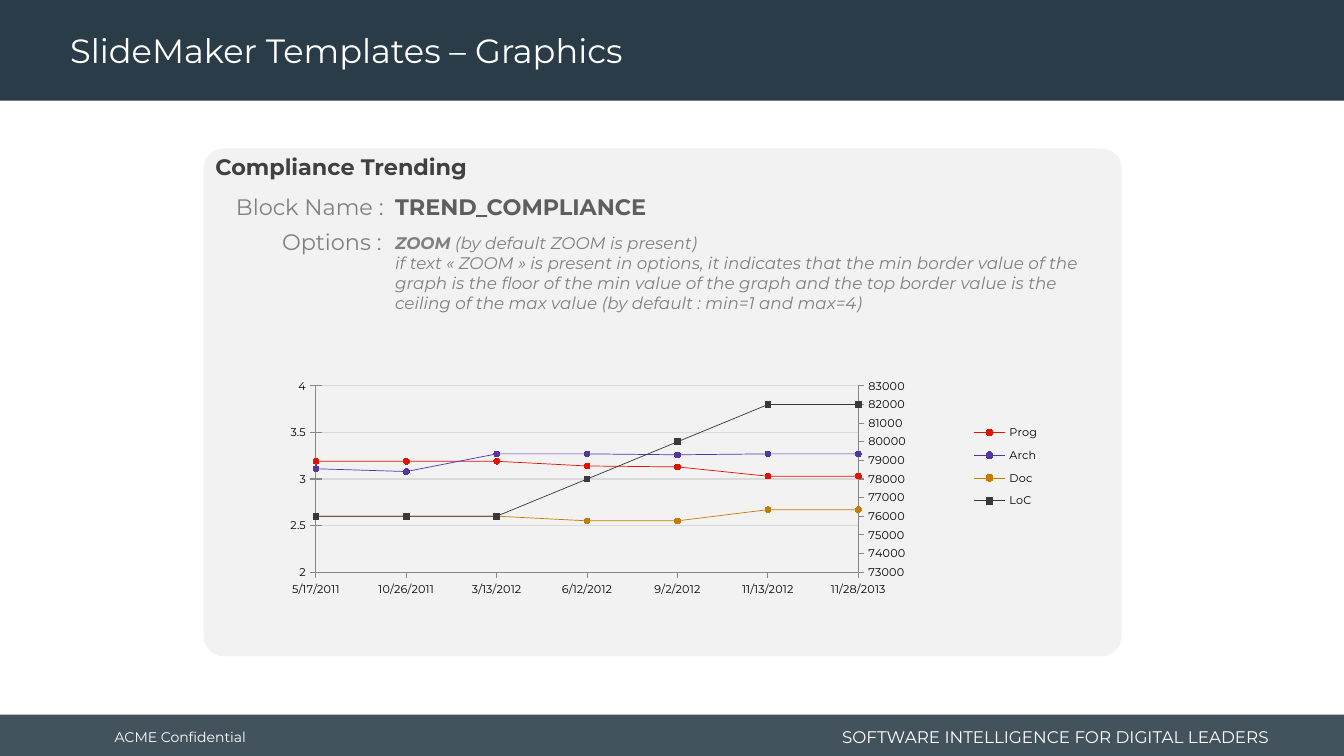
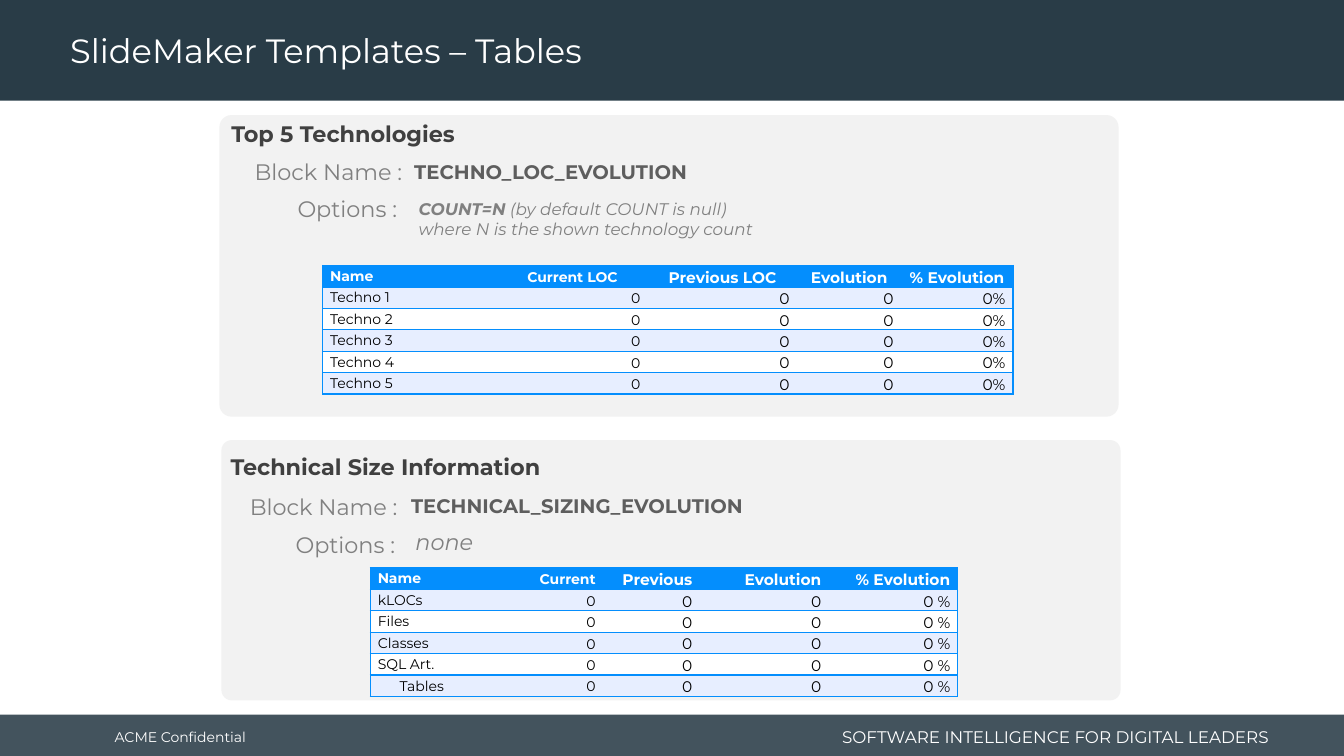
"""Build two slides documenting report template blocks: a trend chart and two tables."""
from copy import deepcopy
from dataclasses import dataclass
from typing import NamedTuple

from lxml.etree import SubElement
from pptx import Presentation
from pptx.chart.data import CategoryChartData
from pptx.dml.color import RGBColor
from pptx.enum.chart import XL_CHART_TYPE, XL_LEGEND_POSITION, XL_MARKER_STYLE, XL_TICK_MARK
from pptx.enum.shapes import MSO_SHAPE
from pptx.enum.text import MSO_ANCHOR, PP_ALIGN
from pptx.oxml.ns import qn
from pptx.slide import Slide
from pptx.util import Cm, Pt


@dataclass(frozen=True)
class Theme:
    font: str = "Montserrat"
    band: str = "293C47"
    white: str = "FFFFFF"
    black: str = "000000"
    panel: str = "F2F2F2"
    heading: str = "404040"
    block_name: str = "5E5E5E"
    muted: str = "808080"
    table_blue: str = "048EFD"
    table_stripe: str = "E7EEFF"
    axis: str = "888888"
    grid: str = "D9D9D9"
    title_size: float = 24
    heading_size: float = 16
    name_size: float = 14
    body_size: float = 12
    cell_size: float = 11
    small_size: float = 10
    chart_size: float = 8


THEME = Theme()
SLIDE_WIDTH, SLIDE_HEIGHT = 33.87, 19.05
NO_TABLE_STYLE = "{2D5ABB26-0587-4C30-8999-92F81FD0307C}"


class Box(NamedTuple):
    left: float
    top: float
    width: float
    height: float = 0.94

    def lengths(self) -> list[Cm]:
        return [Cm(value) for value in self]


class Run(NamedTuple):
    text: str
    bold: bool = False


class Point(NamedTuple):
    left: float
    top: float


@dataclass(frozen=True)
class Panel:
    frame: Box
    heading: str
    heading_at: Point
    block_name: str
    name_label_at: Point
    name_at: Point
    name_size: float
    options: list[list[Run]]
    options_label_at: Point
    options_at: Point
    options_size: float


@dataclass(frozen=True)
class SizeTable:
    left: float
    top: float
    column_widths: list[float]
    headers: list[str]
    header_align: PP_ALIGN
    names: list[str]
    values: list[str]
    indented: tuple[str, ...] = ()


class Trend(NamedTuple):
    name: str
    values: list[float]
    color: str
    marker_color: str
    marker: XL_MARKER_STYLE = XL_MARKER_STYLE.CIRCLE


TREND_PANEL = Panel(
    Box(5.13, 3.74, 23.14, 12.8), "Compliance Trending", Point(4.92, 3.73),
    "TREND_COMPLIANCE", Point(5.68, 4.75), Point(9.71, 4.75), THEME.heading_size,
    [[Run("ZOOM", True), Run(" (by default ZOOM is present)")],
     [Run("if text « ZOOM » is present in options, it indicates that the min border value of the "
          "graph is the floor of the min value of the graph and the top border value is the "
          "ceiling of the max value (by default : min=1 and max=4)")]],
    Point(6.8, 5.62), Point(9.71, 5.74), THEME.body_size)
TECHNOLOGY_PANEL = Panel(
    Box(5.53, 2.9, 22.66, 7.6), "Top 5 Technologies", Point(5.32, 2.9),
    "TECHNO_LOC_EVOLUTION", Point(6.15, 3.86), Point(10.19, 3.91), THEME.name_size,
    [[Run("COUNT=N", True), Run(" (by default COUNT is null)")],
     [Run("where N is the shown technology count")]],
    Point(7.19, 4.8), Point(10.3, 4.89), THEME.body_size)
SIZING_PANEL = Panel(
    Box(5.58, 11.09, 22.66, 6.56), "Technical Size Information", Point(5.3, 11.3),
    "TECHNICAL_SIZING_EVOLUTION", Point(6.03, 12.29), Point(10.11, 12.33), THEME.name_size,
    [[Run("none")]], Point(7.14, 13.26), Point(10.22, 13.18), THEME.heading_size)

TECHNOLOGY_TABLE = SizeTable(
    8.13, 6.69, [4.39, 3.81, 3.76, 2.62, 2.82],
    ["Name", "Current LOC", "Previous LOC", "Evolution", "% Evolution"], PP_ALIGN.CENTER,
    [f"Techno {number}" for number in range(1, 6)], ["0", "0", "0", "0%"])
SIZING_TABLE = SizeTable(
    9.33, 14.31, [3.43, 2.44, 2.44, 3.25, 3.25],
    ["Name", "Current", "Previous", "Evolution", "% Evolution"], PP_ALIGN.RIGHT,
    ["kLOCs", "Files", "Classes", "SQL Art.", "Tables"], ["0", "0", "0", "0 %"], ("Tables",))

DATES = ["5/17/2011", "10/26/2011", "3/13/2012", "6/12/2012", "9/2/2012", "11/13/2012", "11/28/2013"]
TRENDS = [
    Trend("Prog", [3.19, 3.19, 3.19, 3.14, 3.13, 3.03, 3.03], "DF1403", "950D02"),
    Trend("Arch", [3.11, 3.08, 3.27, 3.27, 3.26, 3.27, 3.27], "5435A4", "38246D"),
    Trend("Doc", [2.6, 2.6, 2.6, 2.55, 2.55, 2.67, 2.67], "C87B02", "855201"),
    Trend("LoC", [76000, 76000, 76000, 78000, 80000, 82000, 82000], "3B3838", "181717",
          XL_MARKER_STYLE.SQUARE),
]


def rgb(color: str) -> RGBColor:
    return RGBColor.from_string(color)


def write_paragraph(paragraph, runs: list[Run], *, size: float, color: str, italic: bool = False,
                    align: PP_ALIGN = PP_ALIGN.LEFT, spacing: float = 1.0) -> None:
    paragraph.alignment = align
    paragraph.line_spacing = spacing
    for text, bold in runs:
        run = paragraph.add_run()
        run.text = text
        run.font.name = THEME.font
        run.font.size = Pt(size)
        run.font.bold = bold
        run.font.italic = italic
        run.font.color.rgb = rgb(color)


def add_text(slide: Slide, box: Box, paragraphs: list[list[Run]], *, anchor: MSO_ANCHOR = MSO_ANCHOR.TOP,
             wrap: bool = True, inset: float = 0.25, **text_format) -> None:
    frame = slide.shapes.add_textbox(*box.lengths()).text_frame
    frame.word_wrap = wrap
    frame.vertical_anchor = anchor
    frame.margin_left = frame.margin_right = Cm(inset)
    for index, runs in enumerate(paragraphs):
        paragraph = frame.add_paragraph() if index else frame.paragraphs[0]
        write_paragraph(paragraph, runs, **text_format)


def add_block(slide: Slide, box: Box, color: str, preset: MSO_SHAPE = MSO_SHAPE.RECTANGLE):
    shape = slide.shapes.add_shape(preset, *box.lengths())
    shape.shadow.inherit = False
    shape.fill.solid()
    shape.fill.fore_color.rgb = rgb(color)
    shape.line.fill.background()
    return shape


def add_slide(presentation, title: str) -> Slide:
    slide = presentation.slides.add_slide(presentation.slide_layouts[6])
    footer = add_block(slide, Box(0, 18.01, SLIDE_WIDTH, 1.04), THEME.band)
    footer_color = footer.element.spPr.find(qn("a:solidFill"))[0]
    SubElement(footer_color, qn("a:alpha"), val="88000")
    add_block(slide, Box(0, 0, SLIDE_WIDTH, 2.54), THEME.band)
    add_text(slide, Box(2.64, 18.06, 5, 1.02), [[Run("ACME Confidential")]],
             anchor=MSO_ANCHOR.MIDDLE, size=THEME.small_size, color=THEME.white)
    add_text(slide, Box(20.6, 18.16, 11.63, 0.81), [[Run("SOFTWARE INTELLIGENCE FOR DIGITAL LEADERS")]],
             anchor=MSO_ANCHOR.MIDDLE, size=THEME.body_size, color=THEME.white, align=PP_ALIGN.RIGHT)
    add_text(slide, Box(1.52, 0.1, 24.33, 2.44), [[Run(title)]], anchor=MSO_ANCHOR.MIDDLE,
             size=THEME.title_size, color=THEME.white, spacing=0.9)
    return slide


def add_panel(slide: Slide, panel: Panel) -> None:
    frame = add_block(slide, panel.frame, THEME.panel, MSO_SHAPE.ROUNDED_RECTANGLE)
    frame.adjustments[0] = 0.04
    add_text(slide, Box(*panel.heading_at, 22.63), [[Run(panel.heading, True)]], inset=0.51,
             size=THEME.heading_size, color=THEME.heading)
    add_text(slide, Box(*panel.name_at, 18.42), [[Run(panel.block_name, True)]],
             size=panel.name_size, color=THEME.block_name)
    labels = [("Block Name :", panel.name_label_at, 4.24), ("Options :", panel.options_label_at, 3.07)]
    for label, position, width in labels:
        add_text(slide, Box(*position, width), [[Run(label)]], wrap=False,
                 size=THEME.heading_size, color=THEME.muted, align=PP_ALIGN.RIGHT)
    add_text(slide, Box(*panel.options_at, 18.42), panel.options,
             size=panel.options_size, color=THEME.muted, italic=True)


def set_borders(cell, sides: list[str]) -> None:
    properties = cell._tc.get_or_add_tcPr()
    for index, side in enumerate(sides):
        line = SubElement(properties, qn(f"a:ln{side}"), w=str(Pt(1)))
        fill = SubElement(line, qn("a:solidFill"))
        SubElement(fill, qn("a:srgbClr"), val=THEME.table_blue)
        properties.insert(index, line)


def add_size_table(slide: Slide, content: SizeTable) -> None:
    rows = [content.headers] + [[name, *content.values] for name in content.names]
    row_height = 0.54
    box = Box(content.left, content.top, sum(content.column_widths), row_height * len(rows))
    table = slide.shapes.add_table(len(rows), len(content.headers), *box.lengths()).table
    table.first_row = table.horz_banding = False
    table._tbl.tblPr.find(qn("a:tableStyleId")).text = NO_TABLE_STYLE
    for column, width in zip(table.columns, content.column_widths):
        column.width = Cm(width)
    last_column = len(content.headers) - 1
    for row_index, texts in enumerate(rows):
        table.rows[row_index].height = Cm(row_height)
        is_header = row_index == 0
        stripe = THEME.table_stripe if row_index % 2 else THEME.white
        for column_index, text in enumerate(texts):
            cell = table.cell(row_index, column_index)
            cell.margin_top = cell.margin_bottom = 0
            cell.margin_left = Cm(0.74 if text in content.indented else 0.19)
            cell.margin_right = Cm(0.19)
            is_name = column_index == 0
            cell.vertical_anchor = MSO_ANCHOR.TOP if is_name else MSO_ANCHOR.MIDDLE
            cell.fill.solid()
            cell.fill.fore_color.rgb = rgb(THEME.table_blue if is_header else stripe)
            outer = ["L"] if is_name else ["R"] if column_index == last_column else []
            set_borders(cell, outer + ["T", "B"])
            value_align = content.header_align if is_header else PP_ALIGN.RIGHT
            write_paragraph(cell.text_frame.paragraphs[0], [Run(text, is_header)],
                            size=THEME.small_size if column_index < 2 else THEME.cell_size,
                            color=THEME.white if is_header else THEME.black,
                            align=PP_ALIGN.LEFT if is_name else value_align, spacing=1.15)


def set_layout(parent, index: int, box: Box, inner: bool = False) -> None:
    for existing in parent.findall(qn("c:layout")):
        parent.remove(existing)
    layout = SubElement(parent, qn("c:layout"))
    parent.insert(index, layout)
    manual = SubElement(layout, qn("c:manualLayout"))
    if inner:
        SubElement(manual, qn("c:layoutTarget"), val="inner")
    for mode in ("xMode", "yMode"):
        SubElement(manual, qn(f"c:{mode}"), val="edge")
    for name, value in zip("xywh", box):
        SubElement(manual, qn(f"c:{name}"), val=str(value))


def move_last_series_to_right_axis(plot_area, minimum: int, maximum: int, step: int) -> None:
    left_plot = plot_area.find(qn("c:lineChart"))
    right_plot = deepcopy(left_plot)
    left_plot.remove(left_plot.findall(qn("c:ser"))[-1])
    for series in right_plot.findall(qn("c:ser"))[:-1]:
        right_plot.remove(series)
    left_plot.addnext(right_plot)
    category_axis = deepcopy(plot_area.find(qn("c:catAx")))
    value_axis = deepcopy(plot_area.find(qn("c:valAx")))
    plot_area.find(qn("c:valAx")).addnext(value_axis)
    value_axis.addnext(category_axis)
    identifiers = ["3001", "3002"]
    for element, identifier in zip(right_plot.findall(qn("c:axId")), identifiers):
        element.set("val", identifier)
    for axis, own, other in ((category_axis, *identifiers), (value_axis, *reversed(identifiers))):
        axis.find(qn("c:axId")).set("val", own)
        axis.find(qn("c:crossAx")).set("val", other)
    category_axis.find(qn("c:delete")).set("val", "1")
    value_axis.remove(value_axis.find(qn("c:majorGridlines")))
    settings = {"c:axPos": "r", "c:crosses": "max", "c:majorUnit": step,
                "c:scaling/c:min": minimum, "c:scaling/c:max": maximum}
    for route, value in settings.items():
        value_axis.find("/".join(qn(tag) for tag in route.split("/"))).set("val", str(value))


def add_trend_chart(slide: Slide) -> None:
    data = CategoryChartData()
    data.categories = DATES
    for trend in TRENDS:
        data.add_series(trend.name, trend.values)
    box = Box(6.79, 8.71, 19.53, 7.82)
    chart = slide.shapes.add_chart(XL_CHART_TYPE.LINE_MARKERS, *box.lengths(), data).chart
    chart.has_title = False
    chart.font.name = THEME.font
    chart.font.size = Pt(THEME.chart_size)
    chart.font.color.rgb = rgb(THEME.black)
    chart.has_legend = True
    chart.legend.position = XL_LEGEND_POSITION.RIGHT
    chart.legend.include_in_layout = False
    plot = chart.plots[0]
    plot.vary_by_categories = False
    for series, trend in zip(plot.series, TRENDS):
        series.smooth = False
        series.format.line.color.rgb = rgb(trend.color)
        series.format.line.width = Pt(0.5)
        series.marker.style = trend.marker
        series.marker.size = 4
        series.marker.format.fill.solid()
        series.marker.format.fill.fore_color.rgb = rgb(trend.marker_color)
        series.marker.format.line.color.rgb = rgb(trend.color)
    value_axis = chart.value_axis
    value_axis.minimum_scale, value_axis.maximum_scale, value_axis.major_unit = 2, 4, 0.5
    value_axis.has_major_gridlines = True
    lines = [(value_axis.major_gridlines, THEME.grid), (value_axis, THEME.axis), (chart.category_axis, THEME.axis)]
    for part, color in lines:
        part.format.line.color.rgb = rgb(color)
        part.format.line.width = Pt(0.75)
    for axis in (value_axis, chart.category_axis):
        axis.visible = True
        axis.major_tick_mark = XL_TICK_MARK.OUTSIDE
        axis.tick_labels.number_format = "General"
        axis.tick_labels.number_format_is_linked = False
    plot_area = chart.element.find(f".//{qn('c:plotArea')}")
    crosses = value_axis._element.find(qn("c:crosses"))
    for existing in value_axis._element.findall(qn("c:crossBetween")):
        value_axis._element.remove(existing)
    crosses.addnext(SubElement(value_axis._element, qn("c:crossBetween"), val="midCat"))
    move_last_series_to_right_axis(plot_area, 73000, 83000, 1000)
    value_axis.major_tick_mark = XL_TICK_MARK.CROSS
    set_layout(plot_area, 0, Box(0.06, 0.13, 0.7, 0.6), inner=True)
    set_layout(chart.element.find(f".//{qn('c:legend')}"), 1, Box(0.9, 0.23, 0.1, 0.32))


def main() -> None:
    presentation = Presentation()
    presentation.slide_width, presentation.slide_height = Cm(SLIDE_WIDTH), Cm(SLIDE_HEIGHT)
    graphics = add_slide(presentation, "SlideMaker Templates – Graphics")
    add_panel(graphics, TREND_PANEL)
    add_trend_chart(graphics)
    tables = add_slide(presentation, "SlideMaker Templates – Tables")
    for panel, table in ((TECHNOLOGY_PANEL, TECHNOLOGY_TABLE), (SIZING_PANEL, SIZING_TABLE)):
        add_panel(tables, panel)
        add_size_table(tables, table)
    presentation.save("out.pptx")


if __name__ == "__main__":
    main()
